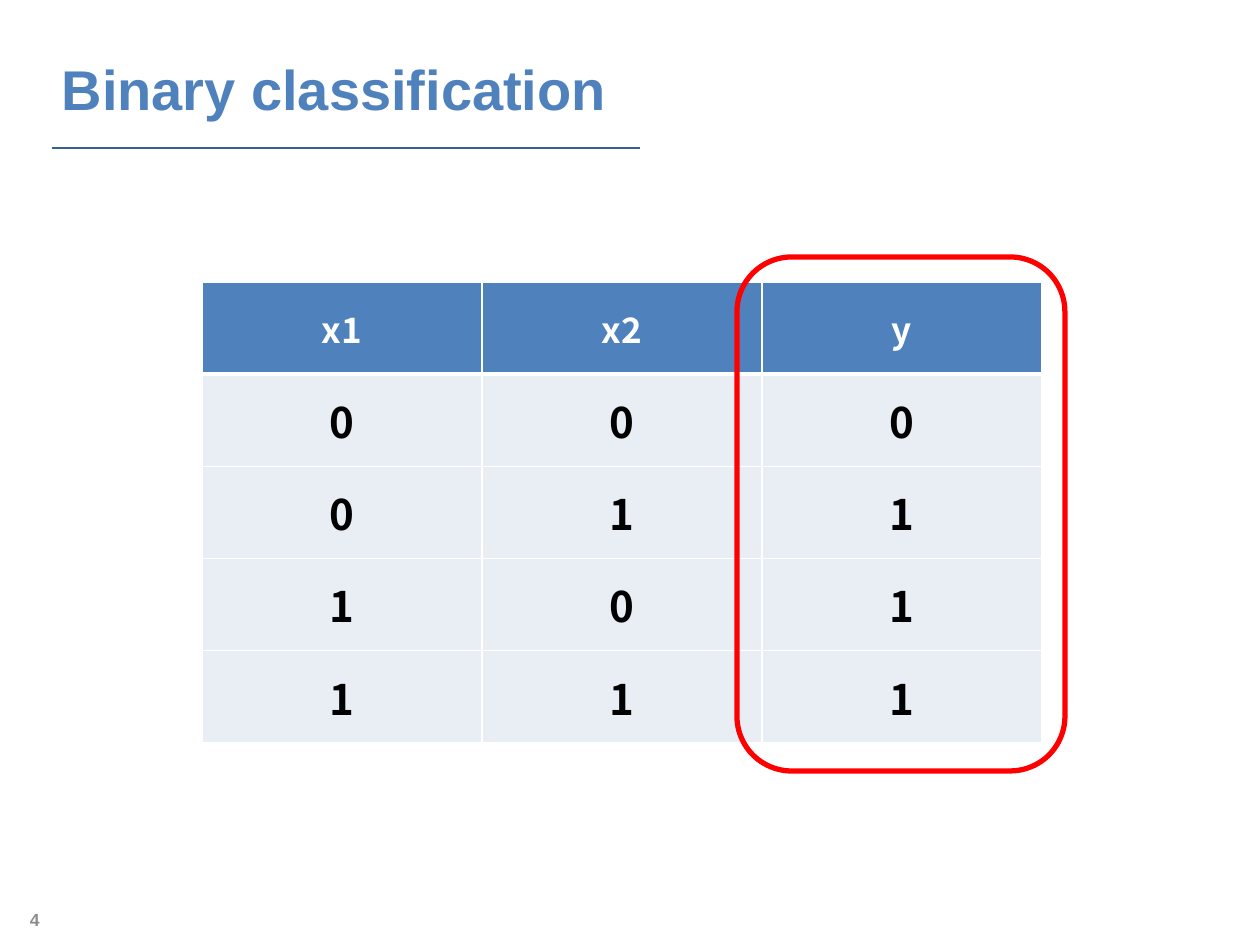
from lxml import etree
from pptx import Presentation
from pptx import util as u
from pptx.dml.color import RGBColor
from pptx.enum import shapes, text
from pptx.oxml import ns

BLUE = RGBColor(0x4F, 0x81, 0xBD)
RULE_BLUE = RGBColor(0x37, 0x60, 0x92)
PALE = RGBColor(0xE9, 0xED, 0xF4)
GRAY = RGBColor(0x8C, 0x8C, 0x8C)
WHITE = RGBColor(0xFF, 0xFF, 0xFF)
BLACK = RGBColor(0, 0, 0)
RED = RGBColor(0xFF, 0, 0)

TITLE = dict(name="Arial", size=u.Pt(32), bold=True, color=BLUE)
NUMBER = dict(name="Arial", size=u.Pt(10), bold=True, color=GRAY)
HEADER = dict(name="Noto Sans CJK KR", size=u.Pt(20), bold=True, color=WHITE)
BODY = dict(HEADER, size=u.Pt(24), color=BLACK)

TRUTH_TABLE = [
    ("x1", "x2", "y"),
    (0, 0, 0),
    (0, 1, 1),
    (1, 0, 1),
    (1, 1, 1),
]


def px(length):
    return u.Emu(round(length * 914400 / 126))


def write(frame, words, style, alignment):
    frame.text = str(words)
    paragraph = frame.paragraphs[0]
    paragraph.alignment = alignment
    font = paragraph.runs[0].font
    for name, value in style.items():
        if name == "color":
            font.color.rgb = value
        else:
            setattr(font, name, value)


def add_title(slide, words, box):
    title = slide.shapes.title
    for name, value in zip(("left", "top", "width", "height"), box):
        setattr(title, name, px(value))
    title.text_frame.vertical_anchor = text.MSO_ANCHOR.MIDDLE
    write(title.text_frame, words, TITLE, text.PP_ALIGN.LEFT)


def add_rule(slide, left, right, top):
    rule = slide.shapes.add_connector(
        shapes.MSO_CONNECTOR.STRAIGHT, px(left), px(top), px(right), px(top))
    rule.line.color.rgb = RULE_BLUE
    rule.line.width = u.Pt(0.75)
    etree.SubElement(rule._element.spPr, ns.qn("a:effectLst"))


def add_page_number(slide, number, box):
    shape = slide.shapes.add_textbox(*map(px, box))
    shape.text_frame.word_wrap = True
    shape.text_frame.vertical_anchor = text.MSO_ANCHOR.MIDDLE
    write(shape.text_frame, number, NUMBER, text.PP_ALIGN.RIGHT)


def set_borders(cell, bottom):
    properties = cell._tc.get_or_add_tcPr()
    widths = dict(lnL=1, lnR=1, lnT=1, lnB=bottom)
    for tag, width in widths.items():
        line = etree.SubElement(properties, ns.qn(f"a:{tag}"), w=str(u.Pt(width)))
        fill = etree.SubElement(line, ns.qn("a:solidFill"))
        etree.SubElement(fill, ns.qn("a:srgbClr"), val=str(WHITE))


def add_truth_table(slide, rows, box):
    table = slide.shapes.add_table(len(rows), len(rows[0]), *map(px, box)).table
    for row_index, row in enumerate(rows):
        is_header = row_index == 0
        for column_index, value in enumerate(row):
            cell = table.cell(row_index, column_index)
            set_borders(cell, 3 if is_header else 1)
            cell.fill.solid()
            cell.fill.fore_color.rgb = BLUE if is_header else PALE
            cell.vertical_anchor = text.MSO_ANCHOR.MIDDLE
            write(cell.text_frame, value, HEADER if is_header else BODY,
                  text.PP_ALIGN.CENTER)


def add_highlight(slide, box):
    shape = slide.shapes.add_shape(
        shapes.MSO_SHAPE.ROUNDED_RECTANGLE, *map(px, box))
    shape.shadow.inherit = False
    shape.fill.background()
    shape.line.color.rgb = RED
    shape.line.width = u.Pt(3)


def main():
    presentation = Presentation()
    presentation.slide_width = px(1260)
    presentation.slide_height = px(945)
    slide = presentation.slides.add_slide(presentation.slide_layouts[5])
    add_rule(slide, 52, 640, 148)
    add_title(slide, "Binary classification", (49, 39, 1162, 98))
    add_page_number(slide, 4, (0, 895, 52, 50))
    add_truth_table(slide, TRUTH_TABLE, (202, 282, 840, 461))
    add_highlight(slide, (737, 257, 328, 514))
    presentation.save("out.pptx")


if __name__ == "__main__":
    main()
